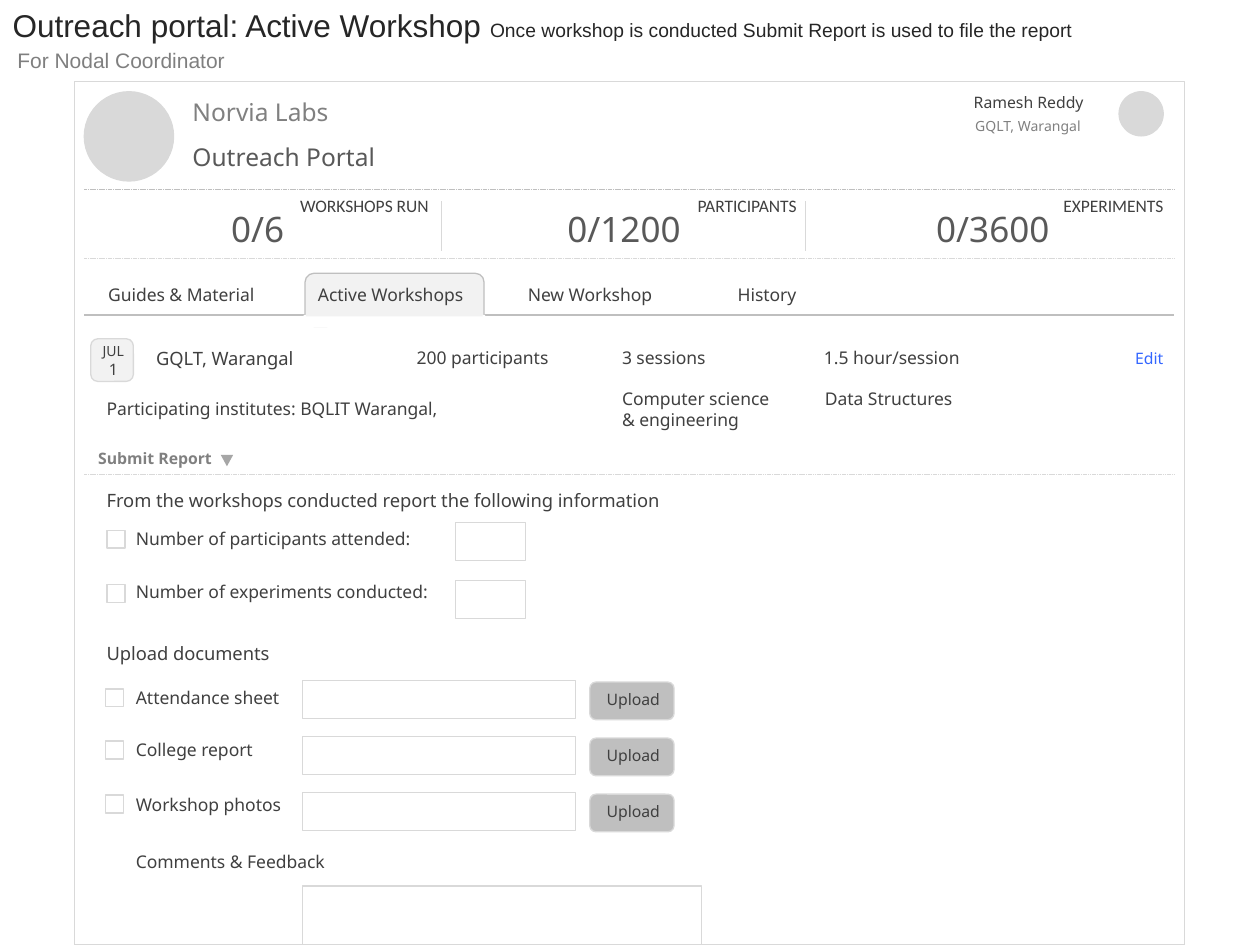
"""Builds the workshop report wireframe slide."""
from dataclasses import dataclass

from lxml import etree
from pptx import Presentation
from pptx.dml.color import RGBColor
from pptx.enum import dml, shapes, text
from pptx.oxml import ns
from pptx.util import Cm, Pt

INK = RGBColor(0x26, 0x26, 0x26)
DARK = RGBColor(0x40, 0x40, 0x40)
SLATE = RGBColor(0x59, 0x59, 0x59)
GRAY = RGBColor(0x80, 0x80, 0x80)
SMOKE = RGBColor(0x7F, 0x7F, 0x7F)
ARROW = RGBColor(0xA6, 0xA6, 0xA6)
STEEL = RGBColor(0xBF, 0xBF, 0xBF)
PALE = RGBColor(0xD9, 0xD9, 0xD9)
MIST = RGBColor(0xF2, 0xF2, 0xF2)
WHITE = RGBColor(0xFF, 0xFF, 0xFF)
BLUE = RGBColor(0x33, 0x66, 0xFF)

KIND = shapes.MSO_SHAPE
ALIGN = text.PP_ALIGN
LEFT, MID, RIGHT = ALIGN.LEFT, ALIGN.CENTER, ALIGN.RIGHT


@dataclass
class Run:
    words: str
    size: float = 10
    color: RGBColor = DARK
    font: str = "Noto Sans"
    bold: bool = False


@dataclass
class Label:
    x: float
    y: float
    wide: float
    runs: list[Run]
    align: int = LEFT


@dataclass
class Stat:
    name: str
    x: float
    wide: float
    value: str
    left: float
    span: float


@dataclass
class Field:
    name: str
    y: float
    wide: float
    tick: float


def write(par, run: Run) -> None:
    part = par.add_run()
    part.text = run.words
    font = part.font
    font.size, font.name, font.bold = Pt(run.size), run.font, run.bold
    font.color.rgb = run.color


def label(host, item: Label) -> None:
    high = 0.25 + sum(0.043 * run.size for run in item.runs)
    box = host.add_textbox(Cm(item.x), Cm(item.y), Cm(item.wide), Cm(high))
    frame = box.text_frame
    frame.word_wrap = True
    for index, run in enumerate(item.runs):
        par = frame.add_paragraph() if index else frame.paragraphs[0]
        par.alignment = item.align
        write(par, run)


def block(host, kind, x: float, y: float, wide: float, high: float, fill=None, edge=PALE):
    shape = host.add_shape(kind, Cm(x), Cm(y), Cm(wide), Cm(high))
    shape.shadow.inherit = False
    if fill is None:
        shape.fill.background()
    else:
        shape.fill.solid()
        shape.fill.fore_color.rgb = fill
    if edge is None:
        shape.line.fill.background()
    else:
        shape.line.color.rgb = edge
        shape.line.width = Pt(0.75)
    return shape


def rule(host, x: float, y: float, right: float, base: float,
         color: RGBColor = PALE, width: float = 0.25, dash: bool = False) -> None:
    line = host.add_connector(shapes.MSO_CONNECTOR.STRAIGHT, Cm(x), Cm(y), Cm(right), Cm(base))
    line.line.color.rgb = color
    line.line.width = Pt(width)
    if dash:
        line.line.dash_style = dml.MSO_LINE.SQUARE_DOT
    etree.SubElement(line.element.spPr, ns.qn("a:effectLst"))


def head(slide) -> None:
    title = slide.shapes.title
    title.left, title.top, title.width, title.height = Cm(0), Cm(0), Cm(24.54), Cm(1.02)
    frame = title.text_frame
    frame.word_wrap = True
    frame.auto_size = text.MSO_AUTO_SIZE.NONE
    frame.vertical_anchor = text.MSO_ANCHOR.TOP
    par = frame.paragraphs[0]
    par.alignment = LEFT
    write(par, Run("Outreach portal: Active Workshop ", 18, INK, "Arial"))
    write(par, Run("Once workshop is conducted Submit Report is used to file the report",
                   11, INK, "Arial"))


def banner(host) -> None:
    label(host, Label(0.1, 0.84, 4.9, [Run("For Nodal Coordinator", 12, SMOKE, "Arial")]))
    block(host, KIND.RECTANGLE, 1.5, 1.65, 22.38, 17.4)
    for x, size in ((1.7, 1.8), (22.56, 0.89)):
        block(host, KIND.OVAL, x, 1.85, size, size, PALE)
    for item in (
        Label(3.63, 1.83, 4.93, [Run("Norvia Labs", 14, GRAY)]),
        Label(3.63, 2.74, 4.93, [Run("Outreach Portal", 14, SLATE)]),
        Label(19.38, 1.75, 3.18, [Run("Ramesh Reddy", 9)]),
        Label(19.41, 2.24, 3.18, [Run("GQLT, Warangal", 8, GRAY)]),
    ):
        label(host, item)
    for y, color in ((3.81, STEEL), (5.21, PALE), (9.55, PALE)):
        rule(host, 1.7, y, 23.67, y, color, dash=True)


def stats(host) -> None:
    for stat in (
        Stat("WORKSHOPS RUN", 5.13, 3.76, "0/6", 3.91, 2.57),
        Stat("PARTICIPANTS", 12.7, 3.61, "0/1200", 11.02, 3.12),
        Stat("EXPERIMENTS", 19.94, 3.76, "0/3600", 18.21, 3.61),
    ):
        label(host, Label(stat.x, 3.81, stat.wide, [Run(stat.name, font="Calibri")], RIGHT))
        label(host, Label(stat.left, 4.06, stat.span, [Run(stat.value, 20, SLATE)], MID))
    for x in (8.89, 16.23):
        rule(host, x, 4.06, x, 5.05)


def tabs(host) -> None:
    rule(host, 1.7, 6.35, 23.67, 6.35, STEEL, 0.75)
    block(host, KIND.ROUNDED_RECTANGLE, 6.15, 5.51, 3.61, 1.07, MIST, STEEL)
    block(host, KIND.RECTANGLE, 6.12, 6.35, 3.66, 0.25, WHITE, None)
    block(host, KIND.RECTANGLE, 6.17, 6.3, 3.56, 0.08, MIST, None)
    names = ("Guides & Material", "Active Workshops", "New Workshop", "History")
    for index, name in enumerate(names):
        label(host, Label(1.93 + 4.23 * index, 5.61, 3.56, [Run(name)]))


def event(host) -> None:
    date = host.add_group_shape().shapes
    block(date, KIND.ROUNDED_RECTANGLE, 1.83, 6.83, 0.86, 0.86, MIST)
    label(date, Label(1.7, 6.78, 1.17, [Run("JUL", 8), Run("1", 9)], MID))
    for item in (
        Label(2.9, 6.88, 4.19, [Run("GQLT, Warangal", 10.5)]),
        Label(1.9, 7.9, 9.12, [Run("Participating institutes: BQLIT Warangal,")]),
        Label(8.15, 6.88, 3.71, [Run("200 participants")]),
        Label(12.29, 6.88, 3.71, [Run("3 sessions")]),
        Label(16.36, 6.88, 3.71, [Run("1.5 hour/session")]),
        Label(12.29, 7.7, 3.71, [Run("Computer science & engineering")]),
        Label(16.38, 7.7, 3.71, [Run("Data Structures")]),
        Label(22.28, 6.91, 1.42, [Run("Edit", 9, BLUE)], RIGHT),
        Label(1.73, 8.92, 2.9, [Run("Submit Report", 9, GRAY, bold=True)]),
    ):
        label(host, item)
    block(host, KIND.ISOSCELES_TRIANGLE, 4.45, 9.17, 0.25, 0.23, ARROW, None).rotation = 180


def field(host, item: Field, x: float) -> None:
    label(host, Label(2.49, item.y, item.wide, [Run(item.name)]))
    block(host, KIND.RECTANGLE, x, item.tick, 0.36, 0.36)


def report(host) -> None:
    label(host, Label(1.9, 9.73, 13.49, [
        Run("From the workshops conducted report the following information", 10.5)]))
    counts = (Field("Number of participants attended:", 10.52, 6.25, 10.69),
              Field("Number of experiments conducted:", 11.58, 7.49, 11.79))
    for index, item in enumerate(counts):
        field(host, item, 2.16)
        block(host, KIND.RECTANGLE, 9.19, 10.54 + 1.17 * index, 1.4, 0.76)
    label(host, Label(1.9, 12.83, 7.01, [Run("Upload documents", 10.5)]))
    files = (Field("Attendance sheet", 13.72, 3.61, 13.89),
             Field("College report", 14.78, 7.49, 14.94),
             Field("Workshop photos", 15.88, 4.22, 16.03))
    for index, item in enumerate(files):
        y = 13.72 + 1.13 * index
        field(host, item, 2.13)
        block(host, KIND.RECTANGLE, 6.1, y, 5.51, 0.76)
        button = host.add_group_shape().shapes
        block(button, KIND.ROUNDED_RECTANGLE, 11.89, y + 0.03, 1.7, 0.76, STEEL)
        label(button, Label(11.94, y + 0.06, 1.65, [Run("Upload", 9)], MID))
    label(host, Label(2.49, 17.04, 6.25, [Run("Comments & Feedback")]))
    block(host, KIND.RECTANGLE, 6.1, 17.86, 8.05, 1.19)


def main() -> None:
    deck = Presentation()
    deck.slide_width, deck.slide_height = Cm(25.4), Cm(19.05)
    slide = deck.slides.add_slide(deck.slide_layouts[5])
    head(slide)
    for draw in (banner, stats, tabs, event, report):
        draw(slide.shapes)
    deck.save("out.pptx")


if __name__ == "__main__":
    main()
